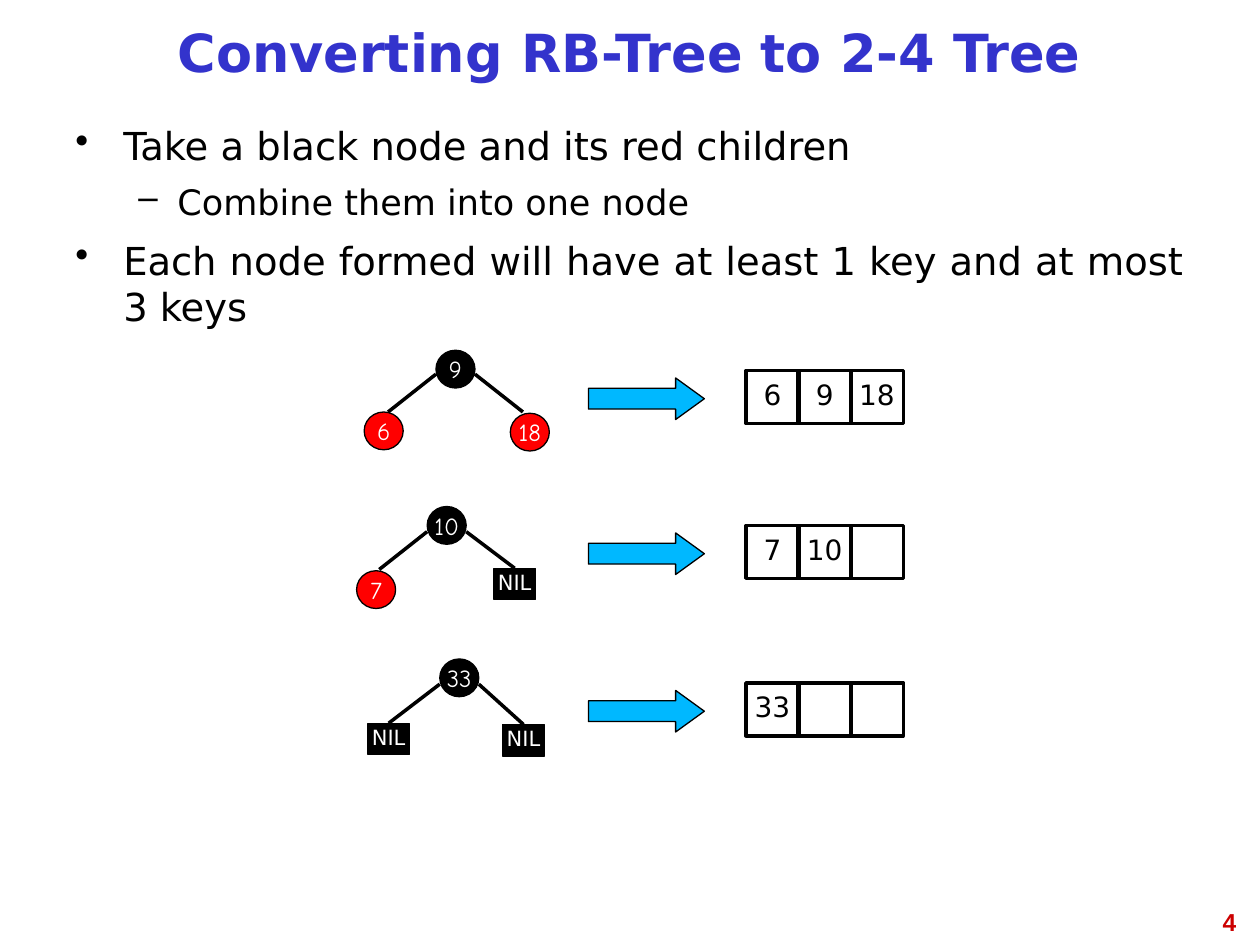
from lxml.etree import SubElement
from pptx import Presentation
from pptx.dml.color import RGBColor
from pptx.enum.shapes import MSO_CONNECTOR, MSO_SHAPE
from pptx.enum.text import MSO_ANCHOR, PP_ALIGN
from pptx.oxml.ns import qn
from pptx.util import Inches, Pt

COLORS = {
    "title": "3333CC",
    "black": "000000",
    "red": "FF0000",
    "white": "FFFFFF",
    "arrow": "00B8FF",
    "number": "CC0000",
}
SANS, COMIC = "DejaVu Sans", "Comic Neue"
NODE_WIDTH, NODE_HEIGHT = 0.31, 0.3
NIL_WIDTH, NIL_HEIGHT = 0.33, 0.25
CELL = 0.42
CELL_STEP = 0.415

BULLETS = [
    (0, "Take a black node and its red children"),
    (1, "Combine them into one node"),
    (0, "Each node formed will have at least 1 key and at most 3 keys"),
]
# Per level: bullet, left margin, hanging indent, text size, space before
LEVELS = [("•", 0.38, 0.38, 22, 8), ("–", 0.81, 0.31, 20, 7)]

# Root position, key and edge start below its top; children as (key, dx, dy)
# from the root; top of the cells and the keys they hold
CONVERSIONS = [
    (3.46, 2.78, "9", 0.19, ("6", -0.57, 0.49), ("18", 0.59, 0.5), 2.94, ["6", "9", "18"]),
    (3.39, 4.02, "10", 0.2, ("7", -0.56, 0.51), ("NIL", 0.53, 0.49), 4.17, ["7", "10", ""]),
    (3.49, 5.23, "33", 0.2, ("NIL", -0.57, 0.51), ("NIL", 0.5, 0.52), 5.42, ["33", "", ""]),
]


def rgb(name):
    return RGBColor.from_string(COLORS[name])


def add_run(paragraph, text, size, font, color, bold=False):
    run = paragraph.add_run()
    run.text = text
    run.font.size = Pt(size)
    run.font.name = font
    run.font.bold = bold
    run.font.color.rgb = rgb(color)


def add_text_box(slide, left, top, width, height):
    box = slide.shapes.add_textbox(Inches(left), Inches(top), Inches(width), Inches(height))
    box.text_frame.word_wrap = True
    return box.text_frame


def add_title(slide, left, top, width, height):
    frame = add_text_box(slide, left, top, width, height)
    frame.vertical_anchor = MSO_ANCHOR.MIDDLE
    paragraph = frame.paragraphs[0]
    paragraph.alignment = PP_ALIGN.CENTER
    paragraph.line_spacing = 0.81
    add_run(paragraph, "Converting RB-Tree to 2-4 Tree", 30, SANS, "title", bold=True)


def add_bullets(slide, left, top, width, height):
    frame = add_text_box(slide, left, top, width, height)
    for index, (level, text) in enumerate(BULLETS):
        bullet, margin, hanging, size, space = LEVELS[level]
        paragraph = frame.add_paragraph() if index else frame.paragraphs[0]
        properties = paragraph._p.get_or_add_pPr()
        properties.set("marL", str(Inches(margin)))
        properties.set("indent", str(-Inches(hanging)))
        bullet_color = SubElement(properties, qn("a:buClr"))
        SubElement(bullet_color, qn("a:srgbClr")).set("val", COLORS["black"])
        SubElement(properties, qn("a:buChar")).set("char", bullet)
        paragraph.level = level
        paragraph.alignment = PP_ALIGN.JUSTIFY
        if index:
            paragraph.space_before = Pt(space)
        add_run(paragraph, text, size, SANS, "black")


def add_page_number(slide, left, top, width, height):
    paragraph = add_text_box(slide, left, top, width, height).paragraphs[0]
    paragraph.alignment = PP_ALIGN.RIGHT
    add_run(paragraph, "4", 14, "Arial", "number", bold=True)


def add_figure(shapes, kind, left, top, width, height, fill=None, line_width=0.75):
    """Add a black-outlined preset shape, hollow when no fill is given."""
    shape = shapes.add_shape(kind, Inches(left), Inches(top), Inches(width), Inches(height))
    shape.shadow.inherit = False
    if fill:
        shape.fill.solid()
        shape.fill.fore_color.rgb = rgb(fill)
    else:
        shape.fill.background()
    shape.line.color.rgb = rgb("black")
    shape.line.width = Pt(line_width)
    return shape


def add_label(shape, text, size, font, color, line_spacing=None):
    frame = shape.text_frame
    frame.word_wrap = False
    frame.vertical_anchor = MSO_ANCHOR.MIDDLE
    paragraph = frame.paragraphs[0]
    paragraph.alignment = PP_ALIGN.CENTER
    paragraph.line_spacing = line_spacing
    add_run(paragraph, text, size, font, color)


def add_node(shapes, left, top, key, fill):
    if key == "NIL":
        node = add_figure(shapes, MSO_SHAPE.RECTANGLE, left, top, NIL_WIDTH, NIL_HEIGHT, "black")
        add_label(node, key, 12, SANS, "white", 0.81)
    else:
        node = add_figure(shapes, MSO_SHAPE.OVAL, left, top, NODE_WIDTH, NODE_HEIGHT, fill)
        add_label(node, key, 14, COMIC, "white")
    return node


def add_edge(shapes, left, top, direction, child, key):
    """Draw an edge down to a child; direction is -1 for left, 1 for right."""
    edge = shapes.add_connector(
        MSO_CONNECTOR.STRAIGHT,
        Inches(left), Inches(top),
        Inches(left + direction * 0.38), Inches(top + 0.3),
    )
    edge.line.color.rgb = rgb("black")
    edge.line.width = Pt(2)
    SubElement(edge._element.spPr, qn("a:effectLst"))
    if key == "NIL":
        edge.end_connect(child, 0)


def add_tree(shapes, left, top, root_key, edge_drop, children):
    add_node(shapes, left, top, root_key, "black")
    for direction, (key, dx, dy) in zip((-1, 1), children):
        child = add_node(shapes, left + dx, top + dy, key, "red")
        edge_left = left if direction < 0 else left + NODE_WIDTH
        add_edge(shapes, edge_left, top + edge_drop, direction, child, key)


def add_cells(shapes, left, top, keys):
    for index, key in enumerate(keys):
        cell = add_figure(
            shapes, MSO_SHAPE.RECTANGLE, left + index * CELL_STEP, top, CELL, CELL, line_width=2
        )
        if key:
            add_label(cell, key, 16, SANS, "black", 0.81)


def add_conversion(slide, left, top, root_key, edge_drop, left_child, right_child, cells_top, keys):
    """Group a tree, an arrow and the 2-4 node that the tree becomes."""
    shapes = slide.shapes.add_group_shape().shapes
    add_tree(shapes, left, top, root_key, edge_drop, (left_child, right_child))
    arrow = add_figure(shapes, MSO_SHAPE.RIGHT_ARROW, 4.67, cells_top + 0.06, 0.92, 0.33, "arrow")
    arrow.adjustments[0] = 0.5
    arrow.adjustments[1] = 0.69
    add_cells(shapes, 5.92, cells_top, keys)


def main():
    presentation = Presentation()
    presentation.slide_width = Inches(10)
    presentation.slide_height = Inches(7.5)
    slide = presentation.slides.add_slide(presentation.slide_layouts[6])
    add_page_number(slide, 7.58, 7.15, 2.33, 0.52)
    add_title(slide, 0.5, 0.08, 8.99, 0.75)
    add_bullets(slide, 0.5, 0.92, 8.99, 5.83)
    for conversion in CONVERSIONS:
        add_conversion(slide, *conversion)
    presentation.save("out.pptx")


if __name__ == "__main__":
    main()
